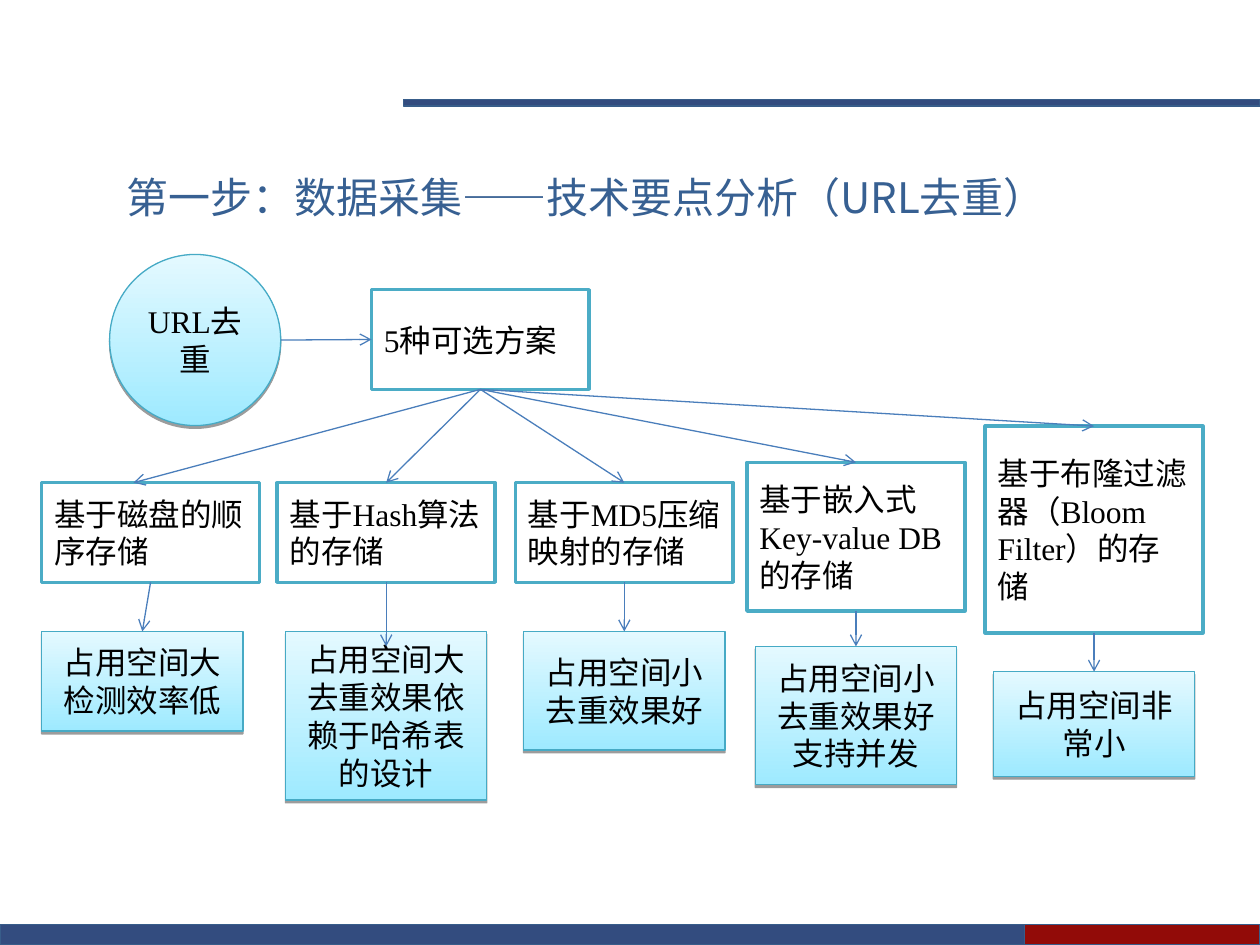
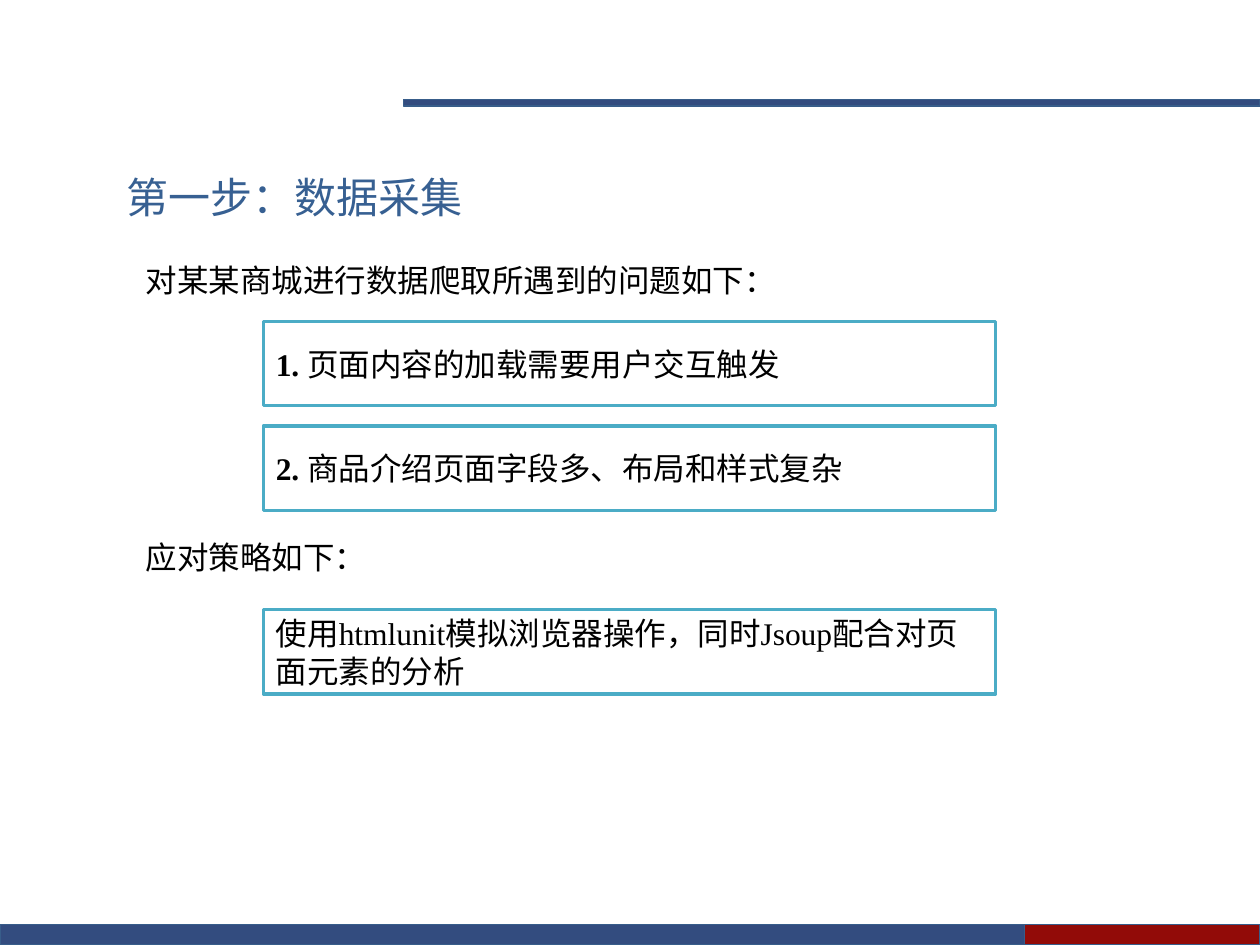
from lxml import etree
from pptx import Presentation
from pptx.dml.color import RGBColor
from pptx.enum.shapes import MSO_CONNECTOR, MSO_SHAPE
from pptx.enum.text import MSO_ANCHOR, MSO_AUTO_SIZE, PP_ALIGN
from pptx.oxml.ns import qn
from pptx.util import Cm, Pt

RECTANGLE, OVAL = MSO_SHAPE.RECTANGLE, MSO_SHAPE.OVAL
STRAIGHT = MSO_CONNECTOR.STRAIGHT
TOP, MIDDLE = MSO_ANCHOR.TOP, MSO_ANCHOR.MIDDLE
LEFT, CENTER = PP_ALIGN.LEFT, PP_ALIGN.CENTER
FIT_SHAPE, FIXED = MSO_AUTO_SIZE.SHAPE_TO_FIT_TEXT, MSO_AUTO_SIZE.NONE

NAVY = RGBColor(0x00, 0x20, 0x60)
CRIMSON = RGBColor(0x92, 0x0B, 0x08)
BAND_EDGE = RGBColor(0x38, 0x5D, 0x8A)
TITLE_BLUE = RGBColor(0x37, 0x60, 0x92)
WHITE = RGBColor(0xFF, 0xFF, 0xFF)
BLACK = RGBColor(0x00, 0x00, 0x00)
TEAL = RGBColor(0x4B, 0xAC, 0xC6)
GLOSS_EDGE = RGBColor(0x46, 0xAA, 0xC5)
GLOSS_DEEP = RGBColor(0x9E, 0xEA, 0xFF)
GLOSS_PALE = RGBColor(0xE4, 0xF9, 0xFF)
ARROW_BLUE = RGBColor(0x4A, 0x7E, 0xBB)

HAN, SERIF, SANS = "Noto Sans CJK SC", "Times New Roman", "Arial"

BANDS = [
    ((8.13, 2.01, 17.27, 0.13), NAVY, 80),
    ((0, 18.64, 25.4, 0.41), NAVY, 80),
    ((20.65, 18.64, 4.75, 0.41), CRIMSON, 100),
]

DEDUP_TITLE, DEDUP_TITLE_WIDTH = "第一步：数据采集——技术要点分析（URL去重）", 20.22
DEDUP_TOPIC, DEDUP_TOPIC_AREA = "URL去重", (2.21, 5.13, 3.45, 3.45)
OPTIONS, OPTIONS_AREA = "5种可选方案", (7.49, 5.84, 4.39, 2.01)
SCHEME_WIDTH, VERDICT_WIDTH = 4.39, 4.06
SCHEMES = [
    dict(method="基于磁盘的顺序存储", left=0.84, top=9.73, height=2.01,
         verdict=["占用空间大", "检测效率低"], verdict_top=12.73, verdict_height=2.01,
         verdict_indent=0, fan_x=2.69),
    dict(method="基于Hash算法的存储", left=5.59, top=9.73, height=2.01,
         verdict=["占用空间大", "去重效果依赖于哈希表的设计"],
         verdict_top=12.73, verdict_height=3.4, arrow_y=13.03),
    dict(method="基于MD5压缩映射的存储", left=10.39, top=9.73, height=2.01,
         verdict=["占用空间小", "去重效果好"], verdict_top=12.73, verdict_height=2.39),
    dict(method="基于嵌入式Key-value DB的存储", left=15.06, top=9.32, height=3,
         verdict=["占用空间小", "去重效果好", "支持并发"],
         verdict_top=13.03, verdict_height=2.79),
    dict(method="基于布隆过滤器（Bloom Filter）的存储", left=19.86, top=8.59, height=4.17,
         verdict=["占用空间非常小"], verdict_top=13.54, verdict_height=2.11),
]

ISSUES_TITLE, ISSUES_TITLE_WIDTH = "第一步：数据采集", 7.59
HEADINGS = [
    ("对某某商城进行数据爬取所遇到的问题如下：", 5.13),
    ("应对策略如下：", 10.72),
]
ISSUES = [
    ("1. ", "页面内容的加载需要用户交互触发", 6.48),
    ("2. ", "商品介绍页面字段多、布局和样式复杂", 8.59),
    ("", "使用htmlunit模拟浏览器操作，同时Jsoup配合对页面元素的分析", 12.29),
]


def to_cm(area):
    return [Cm(length) for length in area]


def write(shape, paragraphs, font=SERIF, size=18, color=BLACK, align=LEFT,
          anchor=MIDDLE, fit=FIXED):
    frame = shape.text_frame
    frame.word_wrap = True
    frame.auto_size = fit
    frame.vertical_anchor = anchor
    for index, pieces in enumerate(paragraphs):
        paragraph = frame.add_paragraph() if index else frame.paragraphs[0]
        paragraph.alignment = align
        for words, bold in pieces:
            run = paragraph.add_run()
            run.text = words
            run.font.name = font
            run.font.size = Pt(size)
            run.font.bold = bold
            run.font.color.rgb = color
            east_asian = etree.SubElement(run.font._element, qn("a:ea"))
            east_asian.set("typeface", HAN)


def plain(lines):
    return [[(line, False)] for line in lines]


def add_block(slide, area, edge, edge_width, kind=RECTANGLE):
    block = slide.shapes.add_shape(kind, *to_cm(area))
    block.shadow.inherit = False
    block.line.color.rgb = edge
    block.line.width = Pt(edge_width)
    return block


def add_outlined(slide, area, paragraphs):
    block = add_block(slide, area, TEAL, 2)
    block.fill.solid()
    block.fill.fore_color.rgb = WHITE
    write(block, paragraphs)
    return block


def add_glossy(slide, area, lines, kind=RECTANGLE):
    block = add_block(slide, area, GLOSS_EDGE, 0.75, kind)
    block.fill.gradient()
    block.fill.gradient_angle = 90
    for stop, color in zip(block.fill.gradient_stops, (GLOSS_DEEP, GLOSS_PALE)):
        stop.color.rgb = color
    effects = block.element.spPr.find(qn("a:effectLst"))
    shadow = etree.SubElement(effects, qn("a:outerShdw"), blurRad="0",
                              dist=str(Pt(1.6)), dir="5400000", rotWithShape="0")
    shade = etree.SubElement(shadow, qn("a:srgbClr"), val=str(BLACK))
    etree.SubElement(shade, qn("a:alpha"), val="38000")
    write(block, plain(lines), align=CENTER)
    return block


def add_arrow(slide, start, end):
    arrow = slide.shapes.add_connector(STRAIGHT, *to_cm(start + end))
    arrow.line.color.rgb = ARROW_BLUE
    arrow.line.width = Pt(0.75)
    etree.SubElement(arrow.line._get_or_add_ln(), qn("a:tailEnd"), type="arrow")
    etree.SubElement(arrow.element.spPr, qn("a:effectLst"))
    return arrow


def add_bands(slide):
    for area, color, opacity in BANDS:
        band = add_block(slide, area, BAND_EDGE, 0)
        band.fill.solid()
        band.fill.fore_color.rgb = color
        tint = band.element.spPr.find(qn("a:solidFill"))[0]
        etree.SubElement(tint, qn("a:alpha"), val=str(opacity * 1000))
        slide.slide_layout.shapes.element.append(band.element)


def add_title(slide, words, width):
    title = slide.shapes.title
    title.left, title.top, title.width, title.height = to_cm((2.29, 3.33, width, 1.27))
    write(title, plain([words]), HAN, 24, TITLE_BLUE, anchor=TOP, fit=FIT_SHAPE)


def build_dedup(slide):
    add_title(slide, DEDUP_TITLE, DEDUP_TITLE_WIDTH)
    add_glossy(slide, DEDUP_TOPIC_AREA, [DEDUP_TOPIC], OVAL)
    options = add_outlined(slide, OPTIONS_AREA, plain([OPTIONS]))
    left, top, width, height = DEDUP_TOPIC_AREA
    middle = top + height / 2
    arrow = add_arrow(slide, (left + width, middle), (OPTIONS_AREA[0], middle))
    arrow.end_connect(options, 1)
    fan_start = (OPTIONS_AREA[0] + OPTIONS_AREA[2] / 2, OPTIONS_AREA[1] + OPTIONS_AREA[3])

    for scheme in SCHEMES:
        left, top, height = scheme["left"], scheme["top"], scheme["height"]
        indent = scheme.get("verdict_indent", (SCHEME_WIDTH - VERDICT_WIDTH) / 2)
        verdict_left, verdict_top = left + indent, scheme["verdict_top"]
        center = left + SCHEME_WIDTH / 2
        method = add_outlined(slide, (left, top, SCHEME_WIDTH, height),
                              plain([scheme["method"]]))
        add_glossy(slide, (verdict_left, verdict_top, VERDICT_WIDTH,
                           scheme["verdict_height"]), scheme["verdict"])
        fan = add_arrow(slide, fan_start, (scheme.get("fan_x", center), top))
        fan.begin_connect(options, 2)
        drop = add_arrow(slide, (center, top + height),
                         (verdict_left + VERDICT_WIDTH / 2,
                          scheme.get("arrow_y", verdict_top)))
        drop.begin_connect(method, 2)


def build_issues(slide):
    add_title(slide, ISSUES_TITLE, ISSUES_TITLE_WIDTH)
    for words, top in HEADINGS:
        heading = slide.shapes.add_textbox(*to_cm((2.69, top, 21.21, 1.02)))
        write(heading, plain([words]), SANS, anchor=TOP, fit=FIT_SHAPE)
    for number, words, top in ISSUES:
        pieces = [(number, True)] if number else []
        add_outlined(slide, (5.31, top, 14.76, 1.7), [pieces + [(words, False)]])


def main():
    deck = Presentation()
    deck.slide_width, deck.slide_height = Cm(25.4), Cm(19.05)
    title_only = deck.slide_layouts[5]
    dedup = deck.slides.add_slide(title_only)
    add_bands(dedup)
    build_dedup(dedup)
    build_issues(deck.slides.add_slide(title_only))
    deck.save("out.pptx")


if __name__ == "__main__":
    main()
